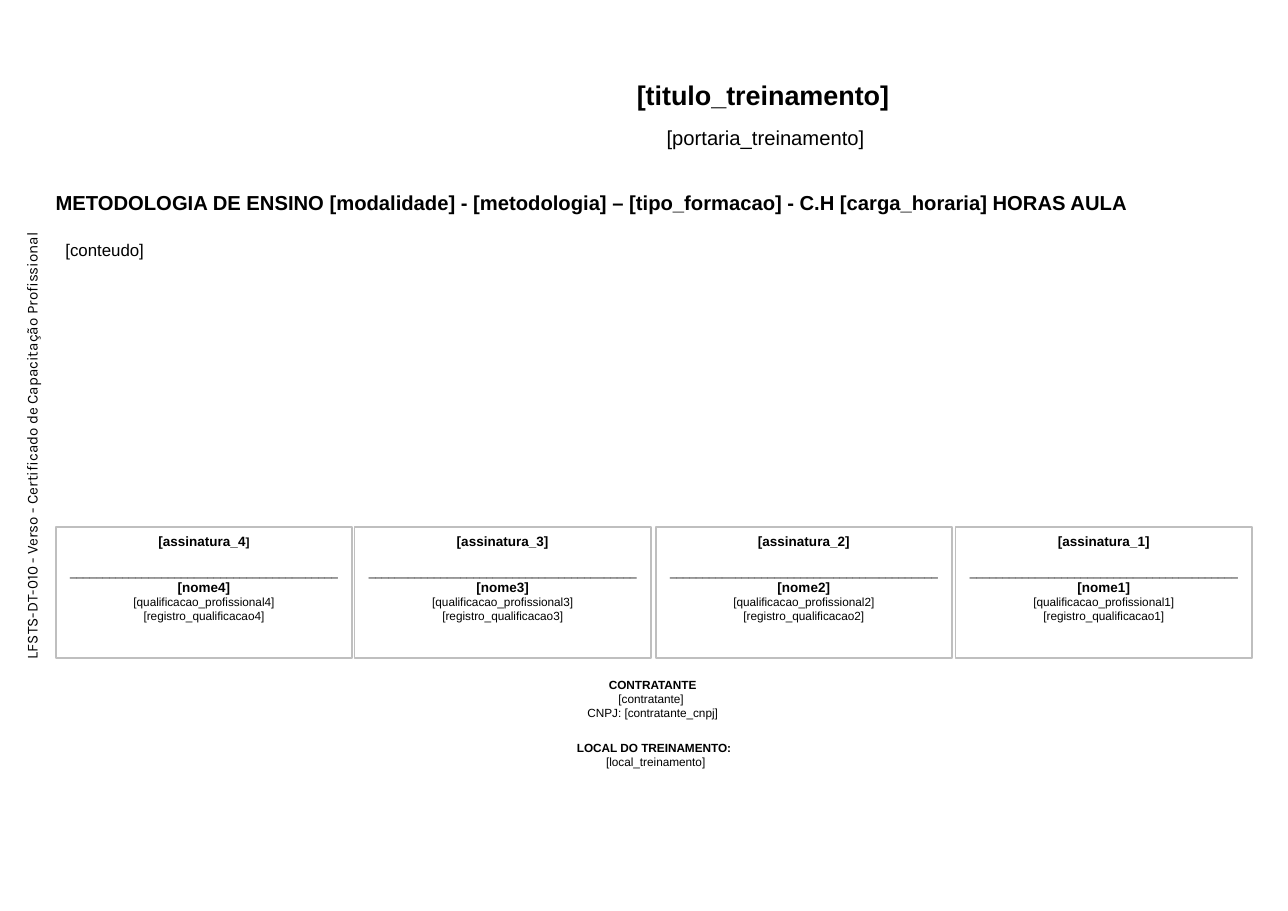
"""Build the back side of a professional training certificate."""
from pptx import Presentation
from pptx import util as u
from pptx.dml.color import RGBColor
from pptx.enum import shapes, text

LEFT = text.PP_ALIGN.LEFT
CENTER = text.PP_ALIGN.CENTER
SLIDE_HEIGHT = 7.5
A4_RATIO = 297 / 210


def color(value):
    """Turn a hex string into a colour."""
    return RGBColor.from_string(value)


def write(frame, content, size=7, bold=False, font="Arial", align=CENTER,
          before=0, same_line=False):
    """Write a formatted run, on a new paragraph unless same_line is set."""
    paragraph = frame.paragraphs[-1]
    if paragraph.runs and not same_line:
        paragraph = frame.add_paragraph()
    if not same_line:
        paragraph.alignment = align
        if before:
            paragraph.space_before = u.Pt(before)
    run = paragraph.add_run()
    run.text = content
    run.font.name = font
    run.font.size = u.Pt(size)
    run.font.bold = bold
    run.font.color.rgb = color("000000")


def prepare_frame(shape):
    """Give a shape a wrapping, top-anchored text frame and return it."""
    frame = shape.text_frame
    frame.word_wrap = True
    frame.auto_size = text.MSO_AUTO_SIZE.NONE
    frame.vertical_anchor = text.MSO_ANCHOR.TOP
    return frame


def add_box(slide, left, top, width, height):
    """Add a text box and return it."""
    box = slide.shapes.add_textbox(
        u.Inches(left), u.Inches(top), u.Inches(width), u.Inches(height))
    prepare_frame(box)
    return box


def add_title(slide, content, left, top, width, height):
    """Place and format the title placeholder."""
    title = slide.shapes.title
    title.left, title.top = u.Inches(left), u.Inches(top)
    title.width, title.height = u.Inches(width), u.Inches(height)
    write(prepare_frame(title), content, size=16, bold=True)


def add_signature(slide, number, left):
    """Add a bordered signature block."""
    block = slide.shapes.add_shape(
        shapes.MSO_SHAPE.RECTANGLE, u.Inches(left), u.Inches(4.34),
        u.Inches(2.44), u.Inches(1.08))
    block.shadow.inherit = False
    block.fill.background()
    block.line.color.rgb = color("BFBFBF")
    block.line.width = u.Pt(1)
    frame = prepare_frame(block)
    if number == 4:
        write(frame, "[assinatura_4", size=8, bold=True)
        write(frame, "]", bold=True, same_line=True)
    else:
        write(frame, f"[assinatura_{number}]", size=8, bold=True)
    write(frame, "_" * 41, before=9)
    write(frame, f"[nome{number}]", size=8, bold=True)
    write(frame, f"[qualificacao_profissional{number}]")
    write(frame, f"[registro_qualificacao{number}]")


def add_details(slide, heading, lines, left, top, width, height):
    """Add a centred bold heading with plain lines under it."""
    frame = add_box(slide, left, top, width, height).text_frame
    write(frame, heading, bold=True)
    for line in lines:
        write(frame, line)


def main():
    """Build and save the slide."""
    presentation = Presentation()
    presentation.slide_width = u.Inches(SLIDE_HEIGHT * A4_RATIO)
    presentation.slide_height = u.Inches(SLIDE_HEIGHT)
    slide = presentation.slides.add_slide(presentation.slide_layouts[5])

    side_label = add_box(slide, -1.93, 3.21, 4.38, 0.25)
    side_label.rotation = 270
    write(side_label.text_frame,
          "LFSTS-DT-010 - Verso - Certificado de Capacitação Profissional",
          size=9, font="Karla", align=LEFT)

    add_title(slide, "[titulo_treinamento]", 2.48, 0.6, 7.61, 0.37)
    ordinance = add_box(slide, 2.48, 0.98, 7.65, 0.3)
    write(ordinance.text_frame, "[portaria_treinamento]", size=12)

    method = add_box(slide, 0.36, 1.52, 9.76, 0.3).text_frame
    write(method, "METODOLOGIA DE ENSINO [modalidade] - [metodologia] – [tipo_formacao]",
          size=12, bold=True, align=LEFT)
    write(method, " ", size=9, bold=True, same_line=True)
    write(method, "- C.H [carga_horaria] HORAS AULA", size=12, bold=True, same_line=True)

    syllabus = add_box(slide, 0.44, 1.92, 9.85, 0.27).text_frame
    syllabus._txBody.bodyPr.set("numCol", "2")
    write(syllabus, "[conteudo]", size=10, align=LEFT)

    for number, left in ((4, 0.46), (3, 2.92), (2, 5.4), (1, 7.87)):
        add_signature(slide, number, left)

    add_details(slide, "CONTRATANTE", ["[contratante] ", "CNPJ: [contratante_cnpj]"],
                3.89, 5.53, 2.97, 0.45)
    add_details(slide, "LOCAL DO TREINAMENTO: ", ["[local_treinamento]"],
                2.98, 6.05, 4.84, 0.34)

    presentation.save("out.pptx")


if __name__ == "__main__":
    main()
